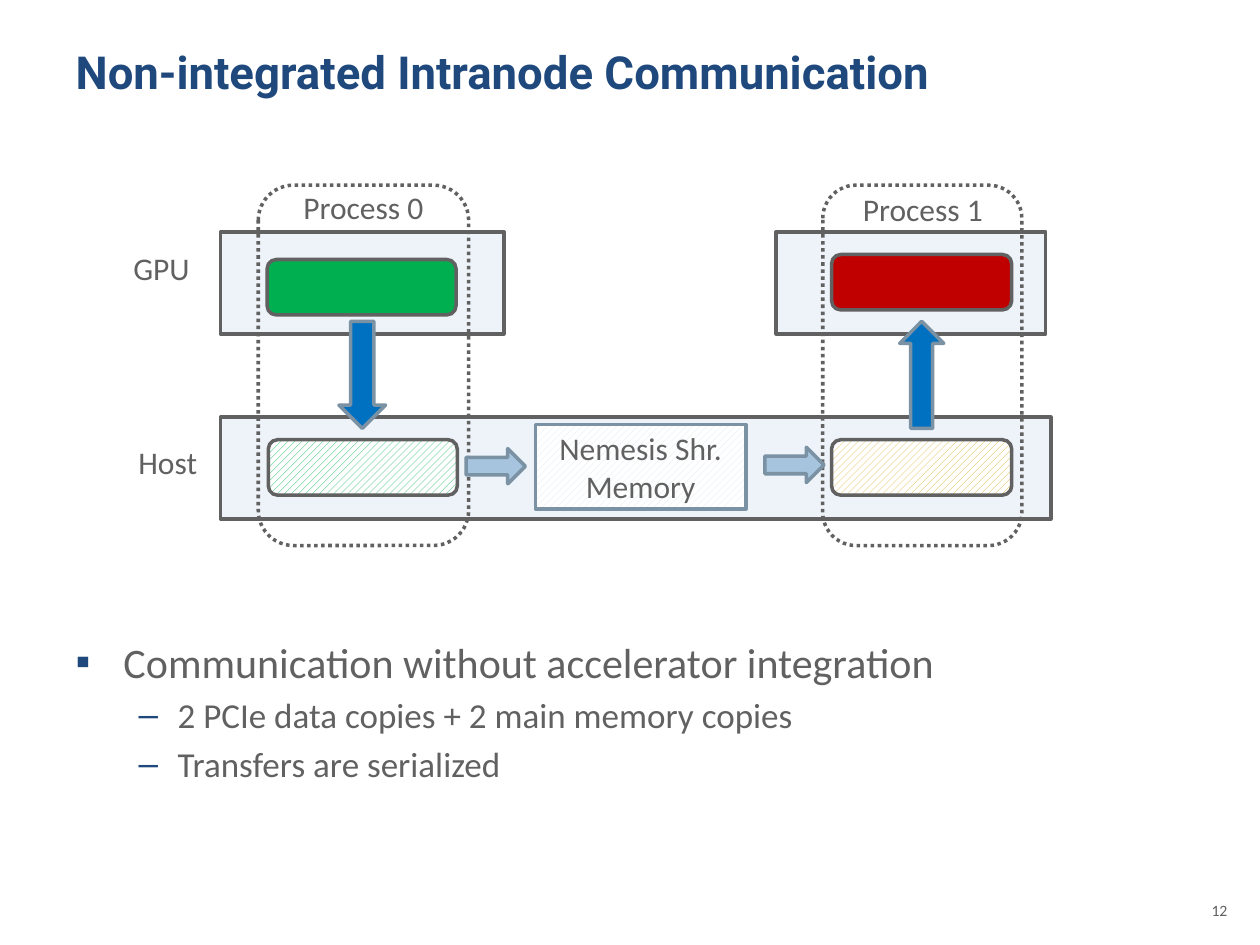
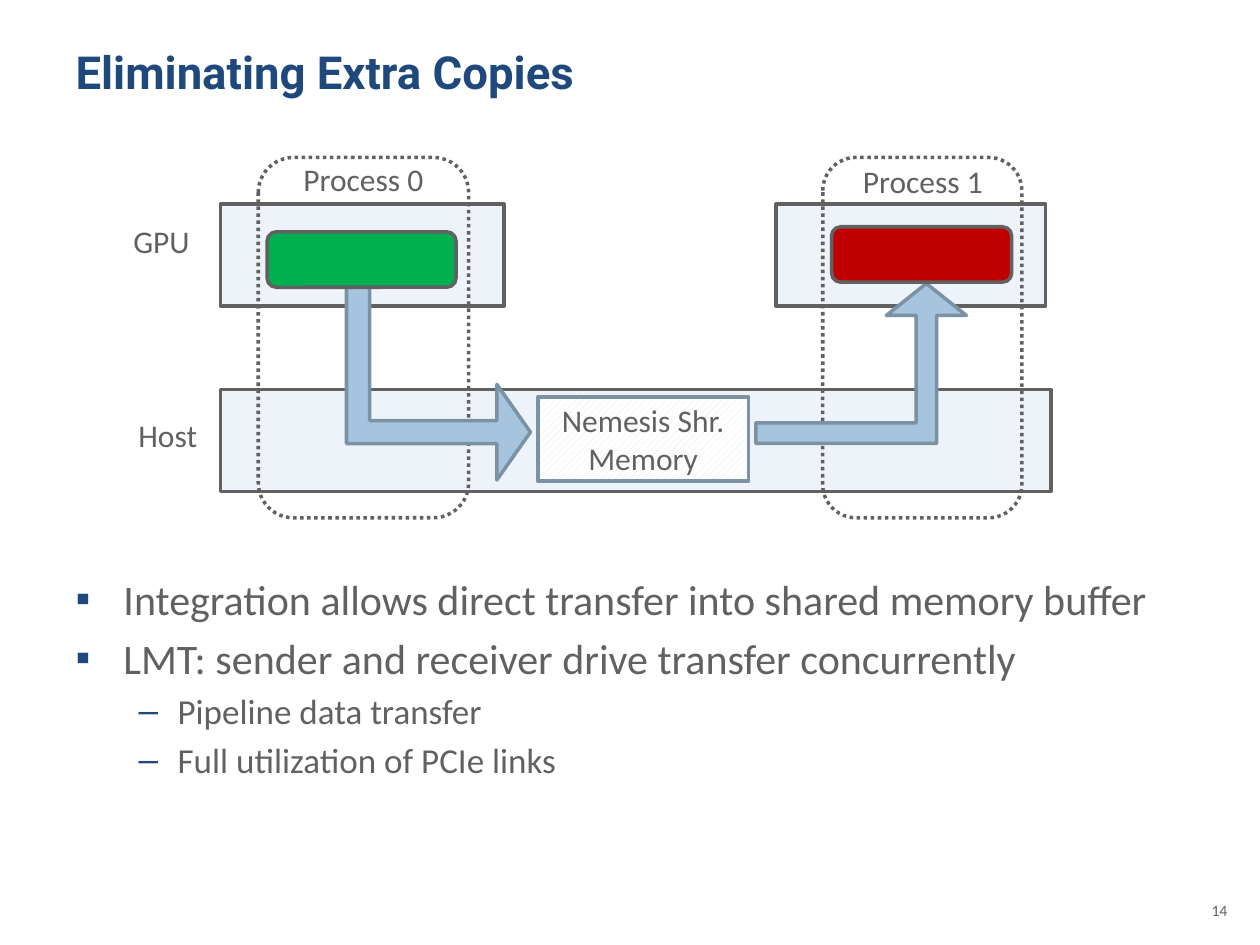
from lxml import etree
from pptx import Presentation
from pptx.dml.color import RGBColor
from pptx.enum.dml import MSO_LINE, MSO_PATTERN
from pptx.enum.shapes import MSO_SHAPE
from pptx.enum.text import MSO_ANCHOR, MSO_AUTO_SIZE, PP_ALIGN
from pptx.oxml.ns import qn
from pptx.util import Inches, Pt

RECTANGLE = MSO_SHAPE.RECTANGLE
ROUNDED = MSO_SHAPE.ROUNDED_RECTANGLE
RIGHT_ARROW = MSO_SHAPE.RIGHT_ARROW
BENT_ARROW = MSO_SHAPE.BENT_UP_ARROW
HATCH = MSO_PATTERN.WIDE_UPWARD_DIAGONAL
DOTTED = MSO_LINE.ROUND_DOT
LEFT, CENTER, RIGHT = PP_ALIGN.LEFT, PP_ALIGN.CENTER, PP_ALIGN.RIGHT
TOP, MIDDLE = MSO_ANCHOR.TOP, MSO_ANCHOR.MIDDLE

COLORS = {
    "title": "1F497D", "text": "616161", "white": "FFFFFF", "band": "EDF3F8",
    "send": "00B050", "receive": "C00000", "receive_hatch": "D8AC28",
    "memory_hatch": "DBE7F2", "copy": "0070C0", "transfer": "A6C4DE",
    "arrow_line": "7B91A4",
}
TITLE_FONT, BODY_FONT = "Roboto", "Calibri"

LEVELS = [
    {"size": 24, "bullet": "▪", "margin": 0.38, "indent": -0.38},
    {"size": 20, "bullet": "–", "margin": 0.81, "indent": -0.31},
]

SLIDES = [
    {
        "title": "Non-integrated Intranode Communication",
        "number": "12",
        "diagram_top": 1.47,
        "memory_left": 4.25,
        "staged": True,
        "body_top": 5.0,
        "points": [
            (0, "Communication without accelerator integration"),
            (1, "2 PCIe data copies + 2 main memory copies"),
            (1, "Transfers are serialized"),
        ],
    },
    {
        "title": "Eliminating Extra Copies",
        "number": "14",
        "diagram_top": 1.25,
        "memory_left": 4.27,
        "staged": False,
        "body_top": 4.5,
        "points": [
            (0, "Integration allows direct transfer into shared memory buffer"),
            (0, "LMT: sender and receiver drive transfer concurrently"),
            (1, "Pipeline data transfer"),
            (1, "Full utilization of PCIe links"),
        ],
    },
]
BODY_BOTTOM = 6.7

# Tops below are measured from the top of the process outlines.
HOST_BAND = (1.75, 1.84, 6.59, 0.81)
GPU_BANDS = [(1.75, 0.37, 2.25, 0.81), (6.16, 0.37, 2.14, 0.81)]
ROW_LABELS = [("GPU", 0.96, 0.46, 0.72), ("Host", 1.0, 2.0, 0.68)]
PROCESSES = [
    ("Process 0", (2.31, -0.03, 1.16, 0.4), (2.05, 0, 1.67, 2.86)),
    ("Process 1", (6.75, -0.01, 1.16, 0.4), (6.53, 0, 1.58, 2.86)),
]
GPU_BUFFERS = [
    ((2.12, 0.59, 1.5, 0.44), "send"),
    ((6.6, 0.55, 1.43, 0.44), "receive"),
]
HOST_BUFFERS = [
    ((2.13, 2.02, 1.5, 0.44), "send"),
    ((6.6, 2.02, 1.43, 0.44), "receive_hatch"),
]
DEVICE_COPIES = [((2.45, 1.32, 0.85, 0.37), 90), ((6.89, 1.33, 0.85, 0.35), 270)]
HOST_COPIES = [(3.7, 2.09, 0.47, 0.28), (6.07, 2.08, 0.47, 0.28)]
DIRECT_TRANSFERS = [
    ((2.7, 1.05, 1.56, 1.46), 90, (0.126, 0.26, 0.183)),
    ((6.0, 1.0, 1.67, 1.27), 0, (0.129, 0.25, 0.2)),
]


def rgb(name):
    return RGBColor.from_string(COLORS[name])


def add_run(paragraph, text, size, font=BODY_FONT, color="text", bold=False):
    run = paragraph.add_run()
    run.text = text
    run.font.name = font
    run.font.size = Pt(size)
    run.font.bold = bold
    run.font.color.rgb = rgb(color)


def place(shape, left, top, width, height):
    shape.left, shape.top = Inches(left), Inches(top)
    shape.width, shape.height = Inches(width), Inches(height)


def set_bullet(paragraph, level):
    properties = paragraph._p.get_or_add_pPr()
    properties.set("marL", str(Inches(level["margin"])))
    properties.set("indent", str(Inches(level["indent"])))
    color = etree.SubElement(properties, qn("a:buClr"))
    etree.SubElement(color, qn("a:srgbClr"), val=COLORS["title"])
    etree.SubElement(properties, qn("a:buChar"), char=level["bullet"])


def add_label(slide, box, text, size=18, align=LEFT, wrap=True):
    label = slide.shapes.add_textbox(*map(Inches, box))
    label.text_frame.word_wrap = wrap
    paragraph = label.text_frame.paragraphs[0]
    paragraph.alignment = align
    add_run(paragraph, text, size)


def add_title(slide, text):
    title = slide.shapes.title
    place(title, 0.5, 0.3, 9, 1.03)
    frame = title.text_frame
    frame.auto_size = MSO_AUTO_SIZE.NONE
    frame.vertical_anchor = TOP
    frame.paragraphs[0].alignment = LEFT
    add_run(frame.paragraphs[0], text, 26, TITLE_FONT, "title", True)


def add_points(slide, top, points):
    body = slide.placeholders[1]
    place(body, 0.5, top, 9, BODY_BOTTOM - top)
    frame = body.text_frame
    frame.auto_size = MSO_AUTO_SIZE.NONE
    for index, (depth, text) in enumerate(points):
        paragraph = frame.add_paragraph() if index else frame.paragraphs[0]
        level = LEVELS[depth]
        paragraph.level = depth
        set_bullet(paragraph, level)
        paragraph.space_before = Pt(0.2 * level["size"] if index else 0)
        add_run(paragraph, text, level["size"])


class Diagram:
    def __init__(self, slide, top):
        self.slide = slide
        self.top = top

    def shift(self, box):
        left, top, width, height = box
        return left, self.top + top, width, height

    def shape(self, kind, box, fill=None, line="text", hatched=False, rotation=0):
        shape = self.slide.shapes.add_shape(kind, *map(Inches, self.shift(box)))
        shape.shadow.inherit = False
        shape.rotation = rotation
        if fill is None:
            shape.fill.background()
        elif hatched:
            shape.fill.patterned()
            shape.fill.pattern = HATCH
            shape.fill.fore_color.rgb = rgb(fill)
            shape.fill.back_color.rgb = rgb("white")
        else:
            shape.fill.solid()
            shape.fill.fore_color.rgb = rgb(fill)
        shape.line.color.rgb = rgb(line)
        shape.line.width = Pt(2)
        return shape

    def arrow(self, kind, box, fill, rotation=0):
        return self.shape(kind, box, fill, "arrow_line", rotation=rotation)

    def buffers(self, buffers, hatched=False):
        for box, fill in buffers:
            self.shape(ROUNDED, box, fill, hatched=hatched)

    def bands(self):
        for box in [HOST_BAND, *GPU_BANDS]:
            self.shape(RECTANGLE, box, "band")
        for text, left, top, width in ROW_LABELS:
            add_label(self.slide, self.shift((left, top, width, 0.4)), text)

    def processes(self):
        for name, label_box, outline_box in PROCESSES:
            outline = self.shape(ROUNDED, outline_box)
            outline.line.dash_style = DOTTED
            add_label(self.slide, self.shift(label_box), name, wrap=False)

    def shared_memory(self, left):
        box = (left, 1.9, 1.67, 0.67)
        memory = self.shape(RECTANGLE, box, "memory_hatch", "arrow_line", True)
        frame = memory.text_frame
        frame.word_wrap = True
        frame.vertical_anchor = MIDDLE
        frame.paragraphs[0].alignment = CENTER
        add_run(frame.paragraphs[0], "Nemesis Shr. Memory", 18)

    def staged_copies(self):
        for box, rotation in DEVICE_COPIES:
            self.arrow(RIGHT_ARROW, box, "copy", rotation)
        for box in HOST_COPIES:
            self.arrow(RIGHT_ARROW, box, "transfer")

    def direct_transfers(self):
        for box, rotation, adjustments in DIRECT_TRANSFERS:
            arrow = self.arrow(BENT_ARROW, box, "transfer", rotation)
            for index, value in enumerate(adjustments):
                arrow.adjustments[index] = value


def build_slide(presentation, content):
    slide = presentation.slides.add_slide(presentation.slide_layouts[1])
    add_title(slide, content["title"])
    add_points(slide, content["body_top"], content["points"])
    add_label(slide, (9.42, 7.1, 0.42, 0.4), content["number"], 9, RIGHT)
    diagram = Diagram(slide, content["diagram_top"])
    diagram.bands()
    if content["staged"]:
        diagram.buffers(GPU_BUFFERS)
        diagram.buffers(HOST_BUFFERS, hatched=True)
    diagram.processes()
    diagram.shared_memory(content["memory_left"])
    if content["staged"]:
        diagram.staged_copies()
    else:
        diagram.direct_transfers()
        diagram.buffers(GPU_BUFFERS)


def main():
    presentation = Presentation()
    presentation.slide_width = Inches(10)
    presentation.slide_height = Inches(7.5)
    for content in SLIDES:
        build_slide(presentation, content)
    presentation.save("out.pptx")


if __name__ == "__main__":
    main()
